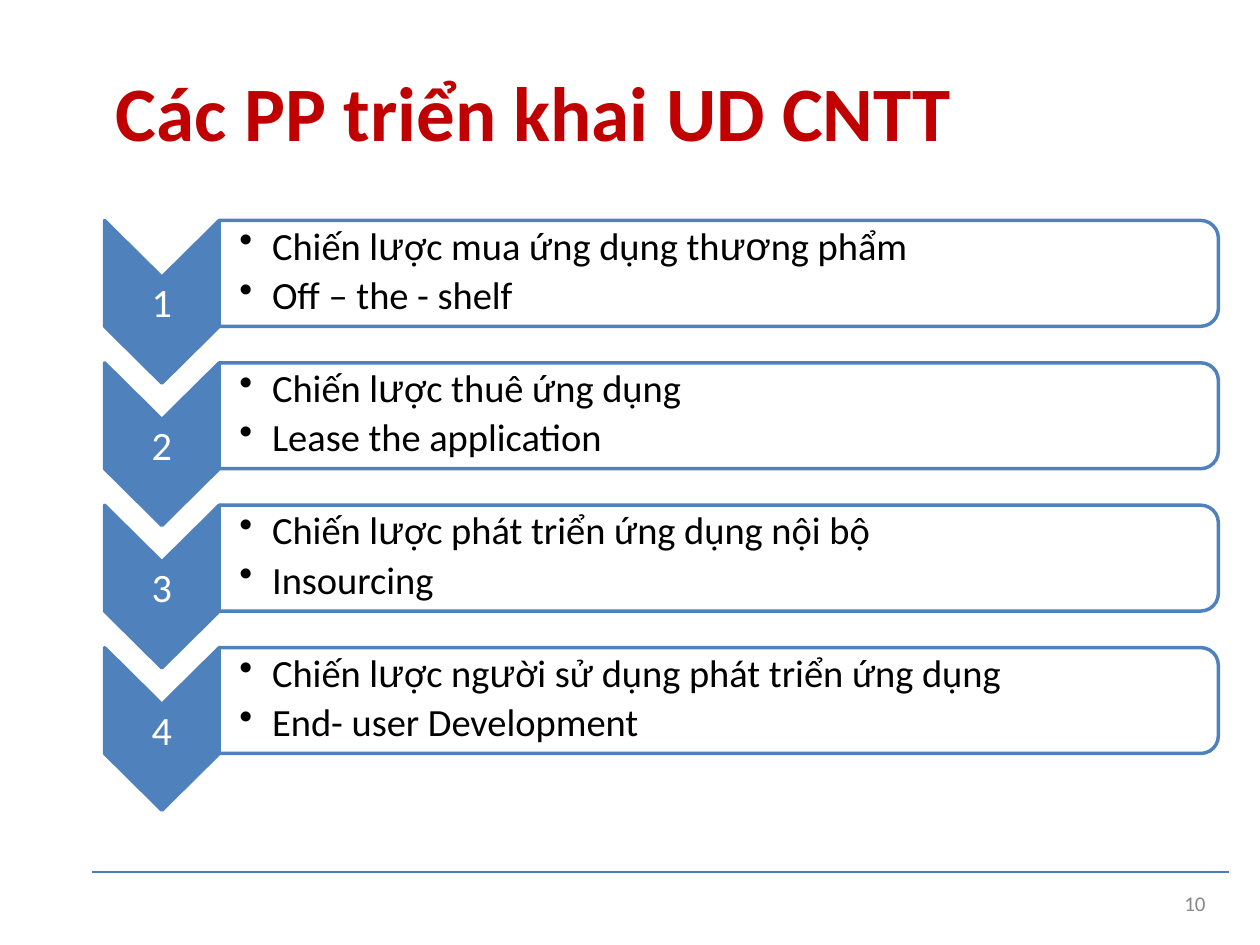
import itertools
import math

import lxml.etree
import pptx
import pptx.dml.color
import pptx.enum.shapes
import pptx.enum.text
import pptx.oxml.ns
import pptx.util
from pptx.util import Inches

TITLE = "Các PP triển khai UD CNTT"
PAGE_NUMBER = "10"
STRATEGIES = [
    ("Chiến lược mua ứng dụng thương phẩm", "Off – the - shelf"),
    ("Chiến lược thuê ứng dụng", "Lease the application"),
    ("Chiến lược phát triển ứng dụng nội bộ", "Insourcing"),
    ("Chiến lược người sử dụng phát triển ứng dụng", "End- user Development"),
]
THEME = {
    "font": "Calibri", "horn_font": "Arial", "horn_letters": "ươ",
    "title": "C00000", "accent": "4F81BC", "panel": "FFFFFF",
    "text": "000000", "number": "FFFFFF", "page": "888888", "rule": "497DBA",
    "title_size": 44, "number_size": 23, "text_size": 22, "page_size": 12,
    "outline": 1.98, "rule_width": 0.78,
}
ROW_TOP, ROW_PITCH, ROW_HEIGHT = 1.75, 1.13, 0.84
CHEVRON_LEFT, PANEL_LEFT, PANEL_RIGHT = 0.83, 1.74, 9.67
POINT_DEPTH, CORNER = 0.45, 0.14


def color(name):
    return pptx.dml.color.RGBColor.from_string(THEME[name])


def style_text(paragraph, role, size, bold=False):
    font = paragraph.font
    font.name, font.size, font.bold = THEME["font"], pptx.util.Pt(THEME[size]), bold
    font.color.rgb = color(role)


def set_insets(frame, left=0, top=0):
    frame.margin_left, frame.margin_top = Inches(left), Inches(top)
    frame.margin_right = frame.margin_bottom = 0


def add_label(page, position, text, role, size, bold=False):
    box = page.shapes.add_textbox(*map(Inches, position))
    set_insets(box.text_frame)
    para = box.text_frame.paragraphs[0]
    para.text = text
    style_text(para, role, size, bold)


def add_outline(page, points, fill):
    start, *rest = [(Inches(x), Inches(y)) for x, y in points]
    builder = page.shapes.build_freeform(*start)
    builder.add_line_segments(rest, close=True)
    shape = builder.convert_to_shape()
    shape.shadow.inherit = False
    shape.fill.solid()
    shape.fill.fore_color.rgb = color(fill)
    shape.line.color.rgb = color("accent")
    shape.line.width = pptx.util.Pt(THEME["outline"])
    return shape


def add_chevron(page, top, number):
    middle = (CHEVRON_LEFT + PANEL_LEFT) / 2
    bottom = top + ROW_HEIGHT
    shape = add_outline(page, [
        (CHEVRON_LEFT, top), (middle, top + POINT_DEPTH), (PANEL_LEFT, top),
        (PANEL_LEFT, bottom), (middle, bottom + POINT_DEPTH), (CHEVRON_LEFT, bottom),
    ], "accent")
    frame = shape.text_frame
    set_insets(frame)
    frame.vertical_anchor = pptx.enum.text.MSO_ANCHOR.MIDDLE
    para = frame.paragraphs[0]
    para.text = str(number)
    para.alignment = pptx.enum.text.PP_ALIGN.CENTER
    style_text(para, "number", "number_size")


def corner_points(center_y, start_angle):
    angles = [math.radians(start_angle + step * 15) for step in range(7)]
    return [(PANEL_RIGHT - CORNER + CORNER * math.cos(a), center_y + CORNER * math.sin(a))
            for a in angles]


def add_bullet(paragraph):
    properties = paragraph._p.get_or_add_pPr()
    properties.set("marL", str(Inches(0.26)))
    properties.set("indent", str(-Inches(0.26)))
    bullet = lxml.etree.SubElement(properties, pptx.oxml.ns.qn("a:buChar"))
    bullet.set("char", "•")


def add_mixed_runs(paragraph, text):
    """Set horned vowels in their own font; other letters keep the paragraph font."""
    for horned, letters in itertools.groupby(text, lambda c: c in THEME["horn_letters"]):
        span = paragraph.add_run()
        span.text = "".join(letters)
        if horned:
            span.font.name = THEME["horn_font"]


def add_panel(page, top, lines):
    bottom = top + ROW_HEIGHT
    points = [(PANEL_LEFT, top), *corner_points(top + CORNER, -90),
              *corner_points(bottom - CORNER, 0), (PANEL_LEFT, bottom)]
    frame = add_outline(page, points, "panel").text_frame
    set_insets(frame, left=0.16, top=0.01)
    frame.word_wrap = True
    frame.vertical_anchor = pptx.enum.text.MSO_ANCHOR.TOP
    for index, line in enumerate(lines):
        para = frame.add_paragraph() if index else frame.paragraphs[0]
        para.alignment = pptx.enum.text.PP_ALIGN.LEFT
        if index:
            para.space_before = pptx.util.Pt(1.8)
        add_bullet(para)
        style_text(para, "text", "text_size")
        add_mixed_runs(para, line)


def add_rule(page):
    rule = page.shapes.add_connector(
        pptx.enum.shapes.MSO_CONNECTOR.STRAIGHT,
        Inches(0.73), Inches(6.92), Inches(9.75), Inches(6.92))
    rule.line.color.rgb = color("rule")
    rule.line.width = pptx.util.Pt(THEME["rule_width"])
    lxml.etree.SubElement(rule._element.spPr, pptx.oxml.ns.qn("a:effectLst"))


def main():
    deck = pptx.Presentation()
    deck.slide_width, deck.slide_height = Inches(10), Inches(7.5)
    page = deck.slides.add_slide(deck.slide_layouts[6])
    add_rule(page)
    add_label(page, (0.92, 0.51, 6.66, 0.75), TITLE, "title", "title_size", bold=True)
    for index, lines in enumerate(STRATEGIES):
        top = ROW_TOP + index * ROW_PITCH
        add_chevron(page, top, index + 1)
        add_panel(page, top, lines)
    add_label(page, (9.4, 7.07, 0.23, 0.19), PAGE_NUMBER, "page", "page_size")
    deck.save("out.pptx")


if __name__ == "__main__":
    main()
